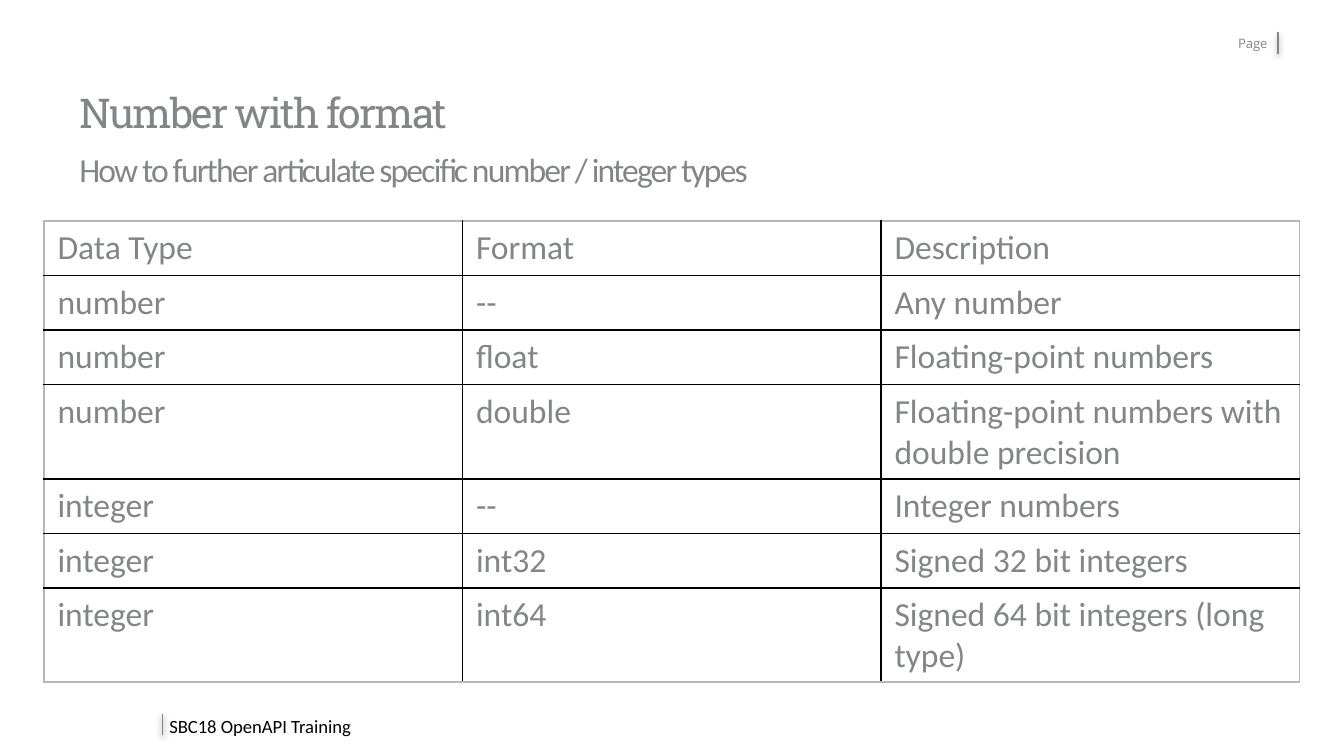
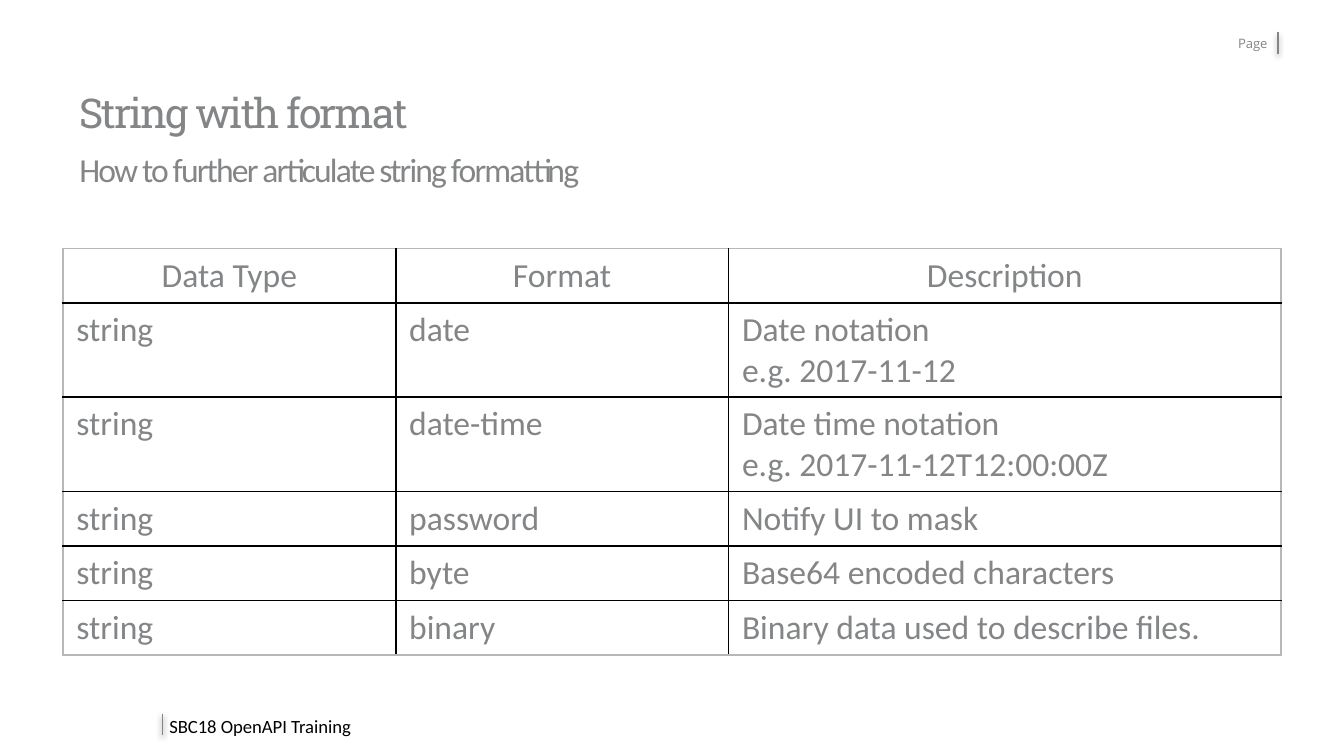
from dataclasses import dataclass

from lxml import etree
from pptx import Presentation
from pptx.dml.color import RGBColor
from pptx.enum.shapes import MSO_CONNECTOR, MSO_SHAPE
from pptx.enum.text import MSO_ANCHOR, MSO_AUTO_SIZE, PP_ALIGN
from pptx.oxml.ns import qn
from pptx.util import Pt

LEFT, CENTER, RIGHT = PP_ALIGN.LEFT, PP_ALIGN.CENTER, PP_ALIGN.RIGHT
TOP, MIDDLE = MSO_ANCHOR.TOP, MSO_ANCHOR.MIDDLE
FIT_SHAPE = MSO_AUTO_SIZE.SHAPE_TO_FIT_TEXT
RECT, STRAIGHT = MSO_SHAPE.RECTANGLE, MSO_CONNECTOR.STRAIGHT


@dataclass(frozen=True)
class Theme:
    width: float = 720
    height: float = 405
    white: str = "FFFFFF"
    grey: str = "838587"
    black: str = "000000"
    frame: str = "B7B7B7"
    title_font: str = "Roboto Slab"
    body_font: str = "Calibri"
    page_font: str = "Open Sans"
    title_size: float = 22
    body_size: float = 18
    footer_size: float = 10
    page_size: float = 7
    row_height: float = 29.2


def rgb(value):
    return RGBColor.from_string(value)


def sub(parent, tag, **attrs):
    return etree.SubElement(parent, qn(tag), {k: str(v) for k, v in attrs.items()})


def write(tf, text, *, font, size, color, align=LEFT, spacing=None, tracking=0):
    for i, line in enumerate(text.split("\n")):
        p = tf.paragraphs[0] if i == 0 else tf.add_paragraph()
        p.alignment = align
        if spacing:
            p.line_spacing = spacing
        r = p.add_run()
        r.text = line
        r.font.name = font
        r.font.size = Pt(size)
        r.font.color.rgb = rgb(color)
        if tracking:
            r.font._element.set("spc", str(round(tracking * 100)))


class Deck:
    def __init__(self, theme):
        self.t = theme
        self.prs = Presentation()
        self.prs.slide_width = Pt(theme.width)
        self.prs.slide_height = Pt(theme.height)
        self.s = None

    def text(self, box, text, *, anchor=TOP, insets=(0, 0), fit=None, **style):
        sp = self.s.shapes.add_textbox(*map(Pt, box))
        tf = sp.text_frame
        tf.word_wrap = True
        tf.vertical_anchor = anchor
        tf.margin_left = tf.margin_right = Pt(insets[0])
        tf.margin_top = tf.margin_bottom = Pt(insets[1])
        if fit is not None:
            tf.auto_size = fit
        write(tf, text, **style)

    def backdrop(self):
        sp = self.s.shapes.add_shape(RECT, 0, 0, Pt(self.t.width), Pt(self.t.height))
        sp.shadow.inherit = False
        sp.fill.solid()
        sp.fill.fore_color.rgb = rgb(self.t.white)
        sp.line.fill.background()

    def tick(self, x, y, length=11.5):
        line = self.s.shapes.add_connector(STRAIGHT, Pt(x), Pt(y), Pt(x), Pt(y + length))
        line.line.color.rgb = rgb(self.t.grey)
        line.line.width = Pt(1)
        effects = sub(line._element.spPr, "a:effectLst")
        shadow = sub(effects, "a:outerShdw", blurRad=Pt(3.1), dist=Pt(1.6),
                     dir=5400000, rotWithShape=0)
        sub(sub(shadow, "a:srgbClr", val=self.t.black), "a:alpha", val=38000)

    def slide(self, title, subtitle):
        t = self.t
        self.s = self.prs.slides.add_slide(self.prs.slide_layouts[6])
        self.backdrop()
        self.text((650, 17.3, 29, 11.5), "Page", anchor=MIDDLE, insets=(0, 2.9),
                  font=t.page_font, size=t.page_size, color=t.grey, align=RIGHT)
        self.tick(684.7, 17.3)
        self.tick(87.1, 382.3)
        self.text((87.1, 379.5, 278.6, 19.4), "SBC18 OpenAPI Training",
                  anchor=MIDDLE, insets=(3.6, 3.6), fit=FIT_SHAPE,
                  font=t.body_font, size=t.footer_size, color=t.black)
        heading = dict(color=t.grey, spacing=0.9, tracking=-1)
        self.text((42.5, 47.5, 635, 28), title, anchor=MIDDLE,
                  font=t.title_font, size=t.title_size, **heading)
        self.text((42.5, 82, 635, 22.3), subtitle,
                  font=t.body_font, size=t.body_size, **heading)

    def borders(self, cell, outer):
        tc_pr = cell._tc.get_or_add_tcPr()
        for side, is_outer in outer.items():
            ln = sub(tc_pr, f"a:ln{side}", w=Pt(1))
            color = self.t.frame if is_outer else self.t.black
            sub(sub(ln, "a:solidFill"), "a:srgbClr", val=color)

    def table(self, x, y, widths, rows, header_align=LEFT):
        t = self.t
        last_row, last_col = len(rows) - 1, len(widths) - 1
        frame = self.s.shapes.add_table(len(rows), len(widths), Pt(x), Pt(y),
                                        Pt(sum(widths)), Pt(t.row_height * len(rows)))
        table = frame.table
        table.first_row = table.horz_banding = False
        for column, width in zip(table.columns, widths):
            column.width = Pt(width)
        for i, row in enumerate(rows):
            table.rows[i].height = Pt(t.row_height)
            for j, text in enumerate(row):
                cell = table.cell(i, j)
                self.borders(cell, {"L": j == 0, "R": j == last_col,
                                    "T": i == 0, "B": i == last_row})
                cell.fill.background()
                write(cell.text_frame, text, font=t.body_font, size=t.body_size,
                      color=t.grey, align=LEFT if i else header_align)


HEADER = ("Data Type", "Format", "Description")
NUMBER_ROWS = [
    HEADER,
    ("number", "--", "Any number"),
    ("number", "float", "Floating-point numbers"),
    ("number", "double", "Floating-point numbers with double precision"),
    ("integer", "--", "Integer numbers"),
    ("integer", "int32", "Signed 32 bit integers"),
    ("integer", "int64", "Signed 64 bit integers (long type)"),
]
STRING_ROWS = [
    HEADER,
    ("string", "date", "Date notation\ne.g. 2017-11-12"),
    ("string", "date-time", "Date time notation\ne.g. 2017-11-12T12:00:00Z"),
    ("string", "password", "Notify UI to mask"),
    ("string", "byte", "Base64 encoded characters"),
    ("string", "binary", "Binary data used to describe files."),
]


def main():
    deck = Deck(Theme())
    deck.slide("Number with format",
               "How to further articulate specific number / integer types")
    deck.table(23.6, 118.5, [224.2] * 3, NUMBER_ROWS)
    deck.slide("String with format", "How to further articulate string formatting")
    deck.table(33.7, 133.2, [178.3, 178.3, 296], STRING_ROWS, header_align=CENTER)
    deck.prs.save("out.pptx")


if __name__ == "__main__":
    main()
